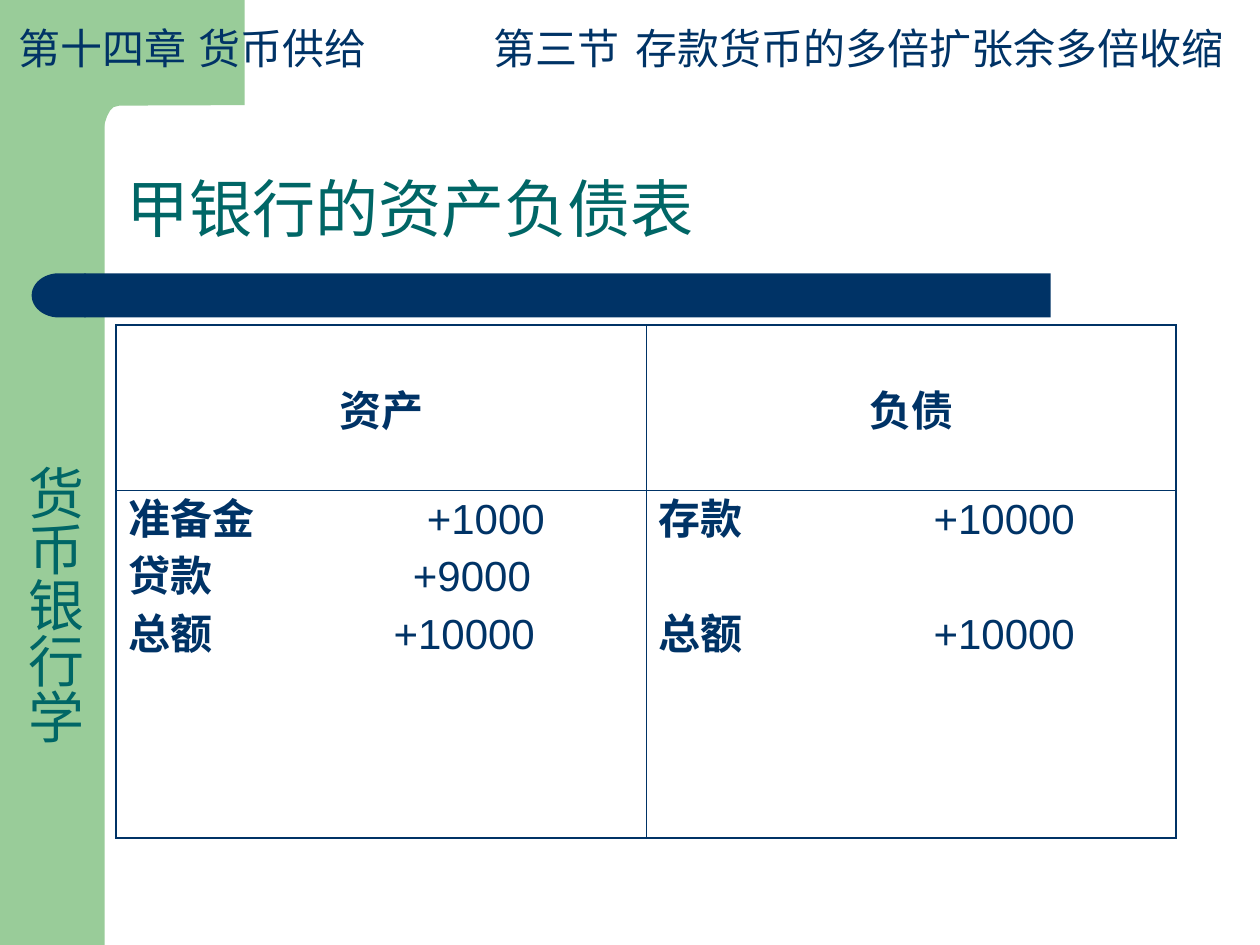
import collections
import dataclasses

import lxml.etree
import pptx
import pptx.dml.color
import pptx.enum.shapes
import pptx.enum.text
import pptx.oxml.ns
import pptx.util

Cm, Pt = pptx.util.Cm, pptx.util.Pt
Kind = pptx.enum.shapes.MSO_SHAPE
Align = pptx.enum.text.PP_ALIGN
Anchor = pptx.enum.text.MSO_ANCHOR
qn = pptx.oxml.ns.qn
Box = collections.namedtuple("Box", "x y w h")


@dataclasses.dataclass(frozen=True)
class Theme:
    font: str = "Arial"
    green: str = "99CC99"
    navy: str = "003366"
    teal: str = "006666"
    title: int = 36
    side: int = 32
    body: int = 24
    outer: float = 1.08
    inner: float = 0.45


THEME = Theme()


def rgb(code):
    return pptx.dml.color.RGBColor.from_string(code)


def add(node, tag, **attrs):
    return lxml.etree.SubElement(node, qn(tag), attrs)


def write(para, text, size=THEME.body, color=THEME.navy, bold=False, value="",
          tab=None, align=None, before=None, line=None, indent=None):
    """Fill a paragraph; value follows the text at the tab stop, never bold."""
    props = para._p.get_or_add_pPr()
    if indent is not None:
        props.set("marL", str(Cm(indent)))
    if tab is not None:
        stops = add(props, "a:tabLst")
        add(stops, "a:tab", pos=str(Cm(tab)), algn="l")
    if align is not None:
        para.alignment = align
    if before is not None:
        para.space_before = Pt(before)
    if line is not None:
        para.line_spacing = line
    parts = [(text, bold)]
    if value:
        parts.append(("\t" + value, False))
    for words, heavy in parts:
        run = para.add_run()
        run.text = words
        run.font.size = Pt(size)
        run.font.name = THEME.font
        run.font.bold = heavy
        run.font.color.rgb = rgb(color)
        mark = run._r.get_or_add_rPr()
        mark.set("lang", "zh-CN")
        add(mark, "a:ea", typeface=THEME.font)


def paint(shape, color):
    shape.shadow.inherit = False
    shape.fill.solid()
    shape.fill.fore_color.rgb = rgb(color)
    shape.line.fill.background()
    return shape


def block(slide, kind, box, color):
    return paint(slide.shapes.add_shape(kind, *map(Cm, box)), color)


def label(slide, box, wrap=True):
    frame = slide.shapes.add_textbox(*map(Cm, box)).text_frame
    frame.word_wrap = wrap
    return frame


def draw_side(slide, box):
    """Green band with its inner corner, and the vertical course name."""
    block(slide, Kind.RECTANGLE, box, THEME.green)
    curve = [(2.41, 2.13), (2.29, 2.16), (2.22, 2.23), (2.16, 2.34),
             (2.11, 2.49), (2.08, 2.64), (2.06, 2.95), (2.06, 3.25)]
    points = [(4.93, 0), (4.93, 2.12)] + curve + [(1.7, 3.25), (1.7, 0)]
    path = [(Cm(box.x + x), Cm(box.y + y)) for x, y in points]
    outline = slide.shapes.build_freeform(*path[0])
    outline.add_line_segments(path[1:], close=True)
    paint(outline.convert_to_shape(), THEME.green)

    frame = label(slide, Box(box.x + 0.05, box.y + 0.33, 1.85, box.h - 0.33))
    frame.margin_left = frame.margin_right = Cm(0.13)
    frame.margin_top = frame.margin_bottom = Cm(0.25)
    frame._txBody.bodyPr.set("vert", "eaVert")
    write(frame.paragraphs[0], "货币银行学", size=THEME.side,
          color=THEME.teal, indent=8.79)


def draw_head(slide, box):
    """Chapter on the left, section on the right."""
    frame = label(slide, Box(box.x, box.y, 9.37, box.h), wrap=False)
    write(frame.paragraphs[0], "第十四章 货币供给")
    width = 15.7
    frame = label(slide, Box(box.x + box.w - width, box.y, width, box.h))
    write(frame.paragraphs[0], "第三节", value="存款货币的多倍扩张余多倍收缩", tab=2.87)


def draw_title(slide, box):
    """Title above the navy bar with its round left end."""
    frame = label(slide, Box(box.x + 1.67, box.y, 21.62, 2.77))
    frame.vertical_anchor = Anchor.BOTTOM
    write(frame.paragraphs[0], "甲银行的资产负债表", size=THEME.title,
          color=THEME.teal, line=0.9)
    thick, cap = 0.89, 1.09
    top = box.y + box.h - thick
    block(slide, Kind.RECTANGLE,
          Box(box.x + 1.06, top, box.w - 1.06, thick), THEME.navy)
    end = block(slide, Kind.FLOWCHART_DELAY,
                Box(box.x, top, cap, thick), THEME.navy)
    end._element.spPr.find(qn("a:xfrm")).set("flipH", "1")


def edge(cell, row, col):
    """Thick lines on the outside of the two by two grid, thin inside."""
    props = cell._tc.get_or_add_tcPr()
    rims = {"L": col == 0, "R": col == 1, "T": row == 0, "B": row == 1}
    for side, rim in rims.items():
        width = THEME.outer if rim else THEME.inner
        line = add(props, "a:ln" + side, w=str(Pt(width)))
        add(add(line, "a:solidFill"), "a:srgbClr", val=THEME.navy)


def draw_sheet(slide, box):
    """Balance sheet; each entry is name, value, tab stop and space before."""
    sides = [
        ("资产", [("准备金", "+1000", 6.01, None), ("贷款", "+9000", 5.73, 6),
                ("总额", "+10000", 5.34, 6)]),
        ("负债", [("存款", "+10000", 5.54, None), ("总额", "+10000", 5.54, 39)]),
    ]
    table = slide.shapes.add_table(2, 2, *map(Cm, box)).table
    table.first_row = table.horz_banding = False
    head = 3.33
    table.rows[0].height = Cm(head)
    table.rows[1].height = Cm(box.h - head)
    for col, (name, entries) in enumerate(sides):
        table.columns[col].width = Cm(box.w / 2)
        for row in range(2):
            cell = table.cell(row, col)
            edge(cell, row, col)
            cell.fill.background()
        top = table.cell(0, col)
        top.margin_top = Cm(1.28)
        write(top.text_frame.paragraphs[0], name, bold=True,
              align=Align.CENTER)
        frame = table.cell(1, col).text_frame
        for num, (item, value, tab, before) in enumerate(entries):
            para = frame.add_paragraph() if num else frame.paragraphs[0]
            write(para, item, bold=True, value=value, tab=tab, before=before)


def main():
    deck = pptx.Presentation()
    deck.slide_width, deck.slide_height = Cm(25.4), Cm(19.05)
    slide = deck.slides.add_slide(deck.slide_layouts[6])
    draw_side(slide, Box(0, 0, 2.11, 19.05))
    draw_title(slide, Box(0.64, 2.31, 20.54, 4.09))
    draw_head(slide, Box(0.13, 0.33, 25.27, 1.27))
    draw_sheet(slide, Box(2.34, 6.55, 21.37, 10.34))
    deck.save("out.pptx")


if __name__ == "__main__":
    main()
